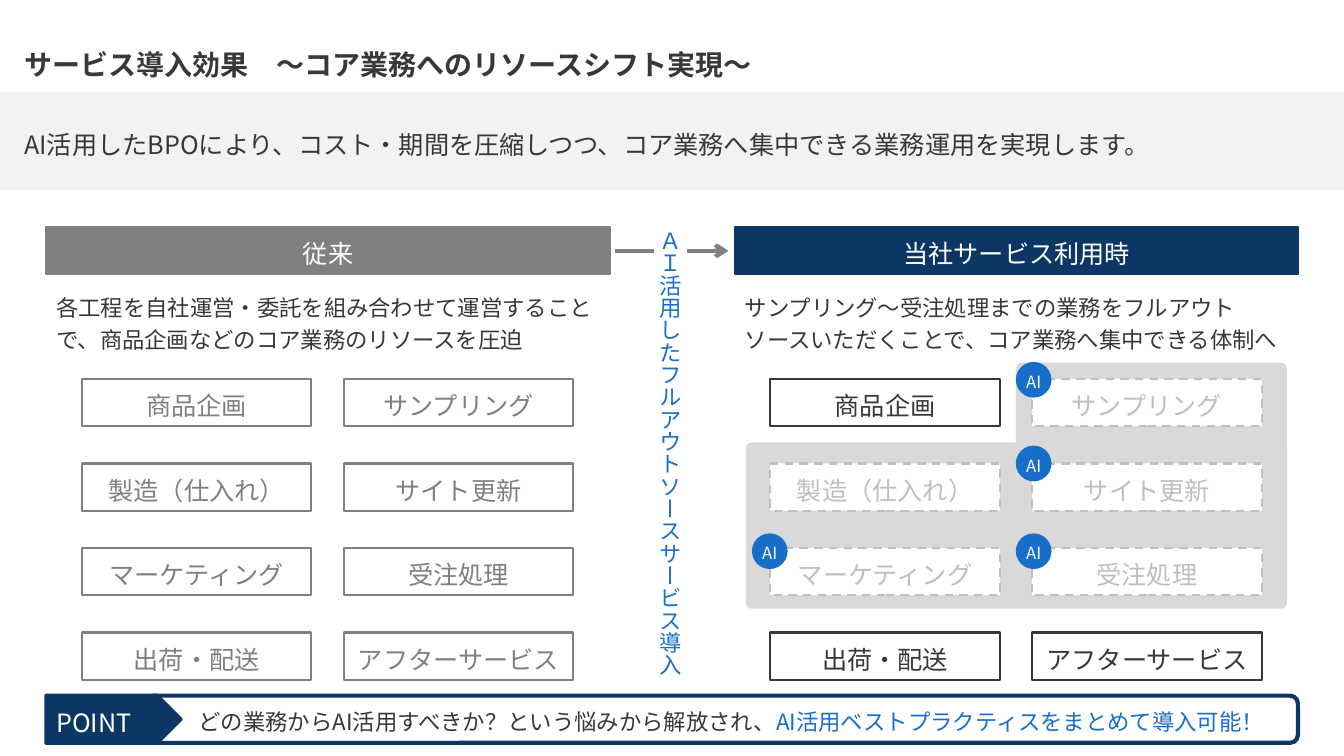
from lxml.etree import SubElement
from pptx import Presentation
from pptx.dml.color import RGBColor
from pptx.enum.dml import MSO_LINE
from pptx.enum.shapes import MSO_CONNECTOR, MSO_SHAPE
from pptx.enum.text import MSO_ANCHOR, PP_ALIGN
from pptx.oxml.ns import qn
from pptx.util import Cm, Pt

FONT = "Noto Sans CJK JP"
INK, GRAY, PALE, WHITE = "383838", "808080", "BFBFBF", "FFFFFF"
NAVY, BLUE, PANEL = "0C3765", "196ECA", "D9D9D9"


def rgb(value):
    return RGBColor.from_string(value)


def add_box(kind, place, fill=None, line=None, width=1.5, dashed=False, runs=(), size=18,
            bold=False, align=PP_ALIGN.LEFT, anchor=MSO_ANCHOR.MIDDLE, wrap=True, margins=None):
    lengths = [Cm(value) for value in place]
    if kind is None:
        shape = slide.shapes.add_textbox(*lengths)
    else:
        shape = slide.shapes.add_shape(kind, *lengths)
        shape.shadow.inherit = False
        shape.fill.solid()
        shape.fill.fore_color.rgb = rgb(fill)
        if line:
            shape.line.color.rgb = rgb(line)
            shape.line.width = Pt(width)
            if dashed:
                shape.line.dash_style = MSO_LINE.DASH
        else:
            shape.line.fill.background()
    frame = shape.text_frame
    for name, value in {"word_wrap": wrap, "vertical_anchor": anchor}.items():
        setattr(frame, name, value)
    for name, value in (margins or {}).items():
        setattr(frame, "margin_" + name, Cm(value))
    paragraph = frame.paragraphs[0]
    paragraph_format = {"alignment": align, "line_spacing": 1.2, "space_after": Pt(3)}
    for name, value in paragraph_format.items():
        setattr(paragraph, name, value)
    for text, color in runs:
        if text == "\n":
            paragraph.add_line_break()
            continue
        run = paragraph.add_run()
        run.text = text
        run.font.color.rgb = rgb(color)
        for name, value in {"name": FONT, "size": Pt(size), "bold": bold}.items():
            setattr(run.font, name, value)
        SubElement(run._r.get_or_add_rPr(), qn("a:ea")).set("typeface", FONT)
    return shape


presentation = Presentation()
presentation.slide_width = Cm(33.87)
presentation.slide_height = Cm(19.05)
slide = presentation.slides.add_slide(presentation.slide_layouts[6])

wide_margins = {"left": 0.61, "right": 0.61, "top": 0.2, "bottom": 0.2}
add_box(None, (0, 1.02, 33.87, 1.02), size=20, bold=True, margins=wide_margins,
        runs=[("サービス導入効果　～コア業務へのリソースシフト実現～", INK)])
add_box(MSO_SHAPE.RECTANGLE, (0, 2.31, 33.87, 2.49), "F2F2F2", margins=wide_margins,
        runs=[("AI活用したBPOにより、コスト・期間を圧縮しつつ、コア業務へ集中できる業務運用を実現します。", INK)])

for place in [(25.6, 9.14, 6.83, 4.19), (18.8, 11.15, 13.64, 4.19)]:
    area = add_box(MSO_SHAPE.ROUNDED_RECTANGLE, place, PANEL)
    area.adjustments[0] = 0.036

tasks = [
    ["商品企画", "サンプリング"],
    ["製造（仕入れ）", "サイト更新"],
    ["マーケティング", "受注処理"],
    ["出荷・配送", "アフターサービス"],
]
outsourced = {"サンプリング", "製造（仕入れ）", "サイト更新", "マーケティング", "受注処理"}
panels = [
    (1.17, "従来", GRAY, GRAY, set(),
     [("各工程を自社運営・委託を組み合わせて運営することで、商品企画などのコア業務のリソースを圧迫", INK)]),
    (18.52, "当社サービス利用時", NAVY, INK, outsourced,
     [("サンプリング～受注処理までの業務をフルアウト", INK), ("\n", INK),
      ("ソースいただくことで、コア業務へ集中できる体制へ", INK)]),
]
for left, heading, heading_color, task_color, shifted, description in panels:
    add_box(MSO_SHAPE.RECTANGLE, (left, 5.72, 14.2, 1.19), heading_color, heading_color,
            runs=[(heading, WHITE)], align=PP_ALIGN.CENTER)
    add_box(None, (left, 7.14, 14.2, 1.83), runs=description, size=16, anchor=MSO_ANCHOR.TOP)
    for row, names in enumerate(tasks):
        for column, name in enumerate(names):
            color = PALE if name in shifted else task_color
            place = (left + 0.89 + 6.6 * column, 9.55 + 2.13 * row, 5.79, 1.19)
            add_box(MSO_SHAPE.RECTANGLE, place, WHITE, color, dashed=name in shifted,
                    runs=[(name, color)], align=PP_ALIGN.CENTER)

for left, top in [(25.6, 9.12), (25.6, 11.23), (25.6, 13.44), (18.95, 13.44)]:
    add_box(MSO_SHAPE.OVAL, (left, top, 0.9, 0.9), BLUE, runs=[("AI", WHITE)], size=12,
            align=PP_ALIGN.CENTER, wrap=False)

arrow = slide.shapes.add_connector(MSO_CONNECTOR.STRAIGHT, Cm(15.49), Cm(6.32), Cm(18.36), Cm(6.32))
arrow.line.color.rgb = rgb(GRAY)
arrow.line.width = Pt(3)
SubElement(arrow.line._get_or_add_ln(), qn("a:tailEnd")).set("type", "arrow")
SubElement(arrow._element.spPr, qn("a:effectLst"))

banner = add_box(None, (16.33, 5.59, 1.22, 12.6), size=16,
                 runs=[("ＡＩ活用したフルアウトソースサービス導入", BLUE)],
                 margins={"left": 0.2, "right": 0.2, "top": 0.2, "bottom": 0.2})
banner.text_frame._txBody.bodyPr.set("vert", "eaVert")
properties = banner.text_frame.paragraphs[0].runs[0]._r.get_or_add_rPr()
highlight = SubElement(properties, qn("a:highlight"))
SubElement(highlight, qn("a:srgbClr")).set("val", WHITE)
properties.find(qn("a:latin")).addprevious(highlight)

add_box(MSO_SHAPE.ROUNDED_RECTANGLE, (3.68, 17.53, 29.03, 1.19), WHITE, NAVY, 3, size=16,
        runs=[("どの業務からAI活用すべきか？という悩みから解放され、", INK),
              ("AI活用ベストプラクティスをまとめて導入可能！", BLUE)],
        margins={"left": 1.27})
add_box(MSO_SHAPE.PENTAGON, (1.17, 17.53, 3.38, 1.19), NAVY, NAVY, 3, runs=[("POINT", WHITE)])

presentation.save("out.pptx")
